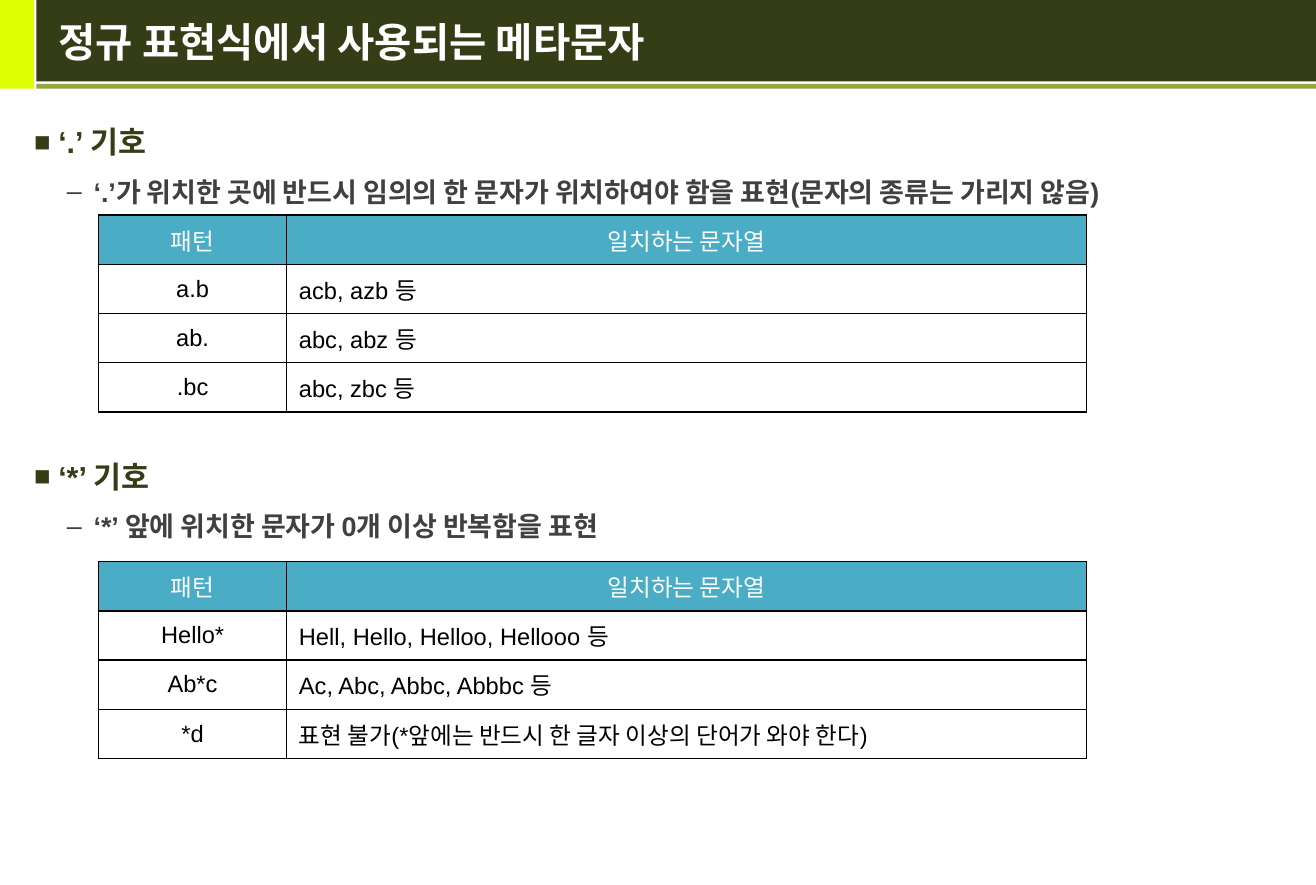
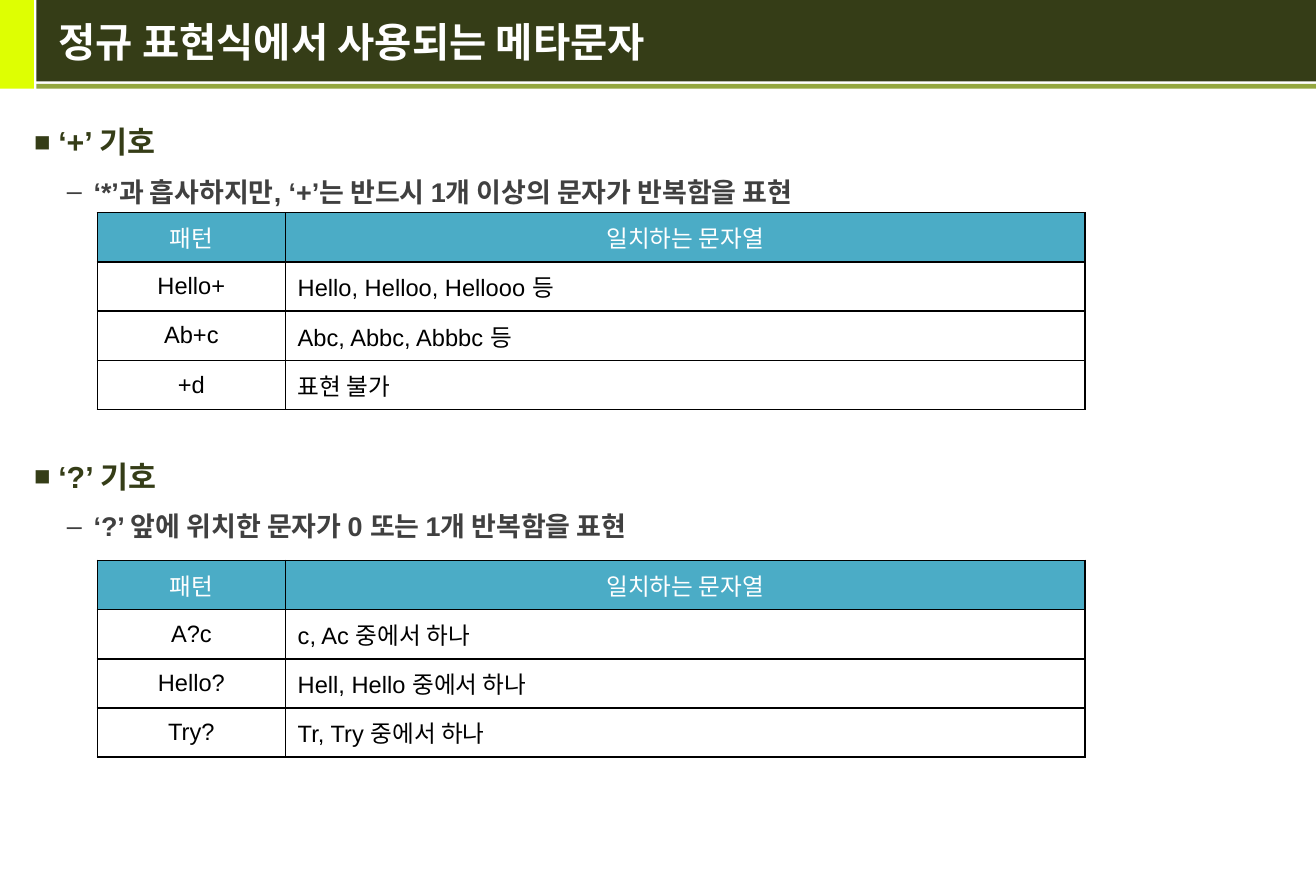
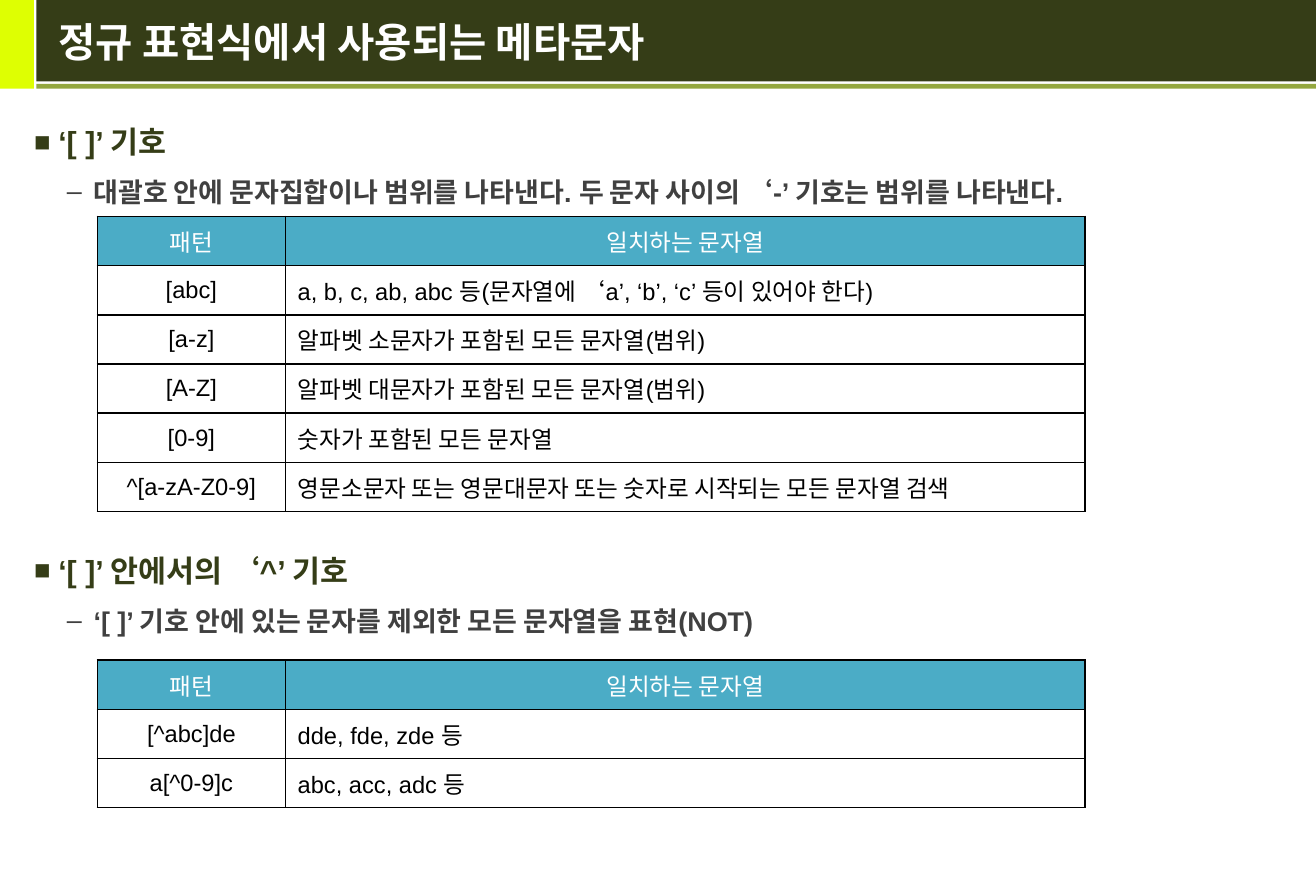
import pptx
import pptx.dml.color
import pptx.enum.shapes
import pptx.enum.text
import pptx.oxml
import pptx.oxml.ns
import pptx.util

# Slide size in inches; all other lengths are percentages of it
WIDTH, HEIGHT = 10.83, 7.28

LIME, OLIVE, MOSS = "DEFF02", "353D17", "93A73F"
GRAY, TEAL, WHITE, BLACK = "404040", "4BACC6", "FFFFFF", "000000"
LATIN, KOREAN = "Arial", "Noto Sans CJK KR"

TITLE = "정규 표현식에서 사용되는 메타문자"
HEADER = ("패턴", "일치하는 문자열")
COLUMNS = (14.31, 60.76)
ROW = 5.56

# Level: size, colour, bullet, bullet size, left margin and hanging indent in
# inches, line height in points
LEVELS = (
    (18, OLIVE, "■", 90, 0.2, 0.2, 27),
    (16, GRAY, "–", 100, 0.49, 0.22, 24),
)

# Slide: table left, then sections of heading, explanation, table top, rows
SLIDES = (
    (7.48, (
        ("‘.’ 기호",
         "‘.’가 위치한 곳에 반드시 임의의 한 문자가 위치하여야 함을 표현(문자의 종류는 가리지 않음)",
         24.31,
         (("a.b", "acb, azb 등"),
          ("ab.", "abc, abz 등"),
          (".bc", "abc, zbc 등"))),
        ("‘*’ 기호",
         "‘*’ 앞에 위치한 문자가 0개 이상 반복함을 표현",
         63.46,
         (("Hello*", "Hell, Hello, Helloo, Hellooo 등"),
          ("Ab*c", "Ac, Abc, Abbc, Abbbc 등"),
          ("*d", "표현 불가(*앞에는 반드시 한 글자 이상의 단어가 와야 한다)"))),
    )),
    (7.39, (
        ("‘+’ 기호",
         "‘*’과 흡사하지만, ‘+’는 반드시 1개 이상의 문자가 반복함을 표현",
         24.04,
         (("Hello+", "Hello, Helloo, Hellooo 등"),
          ("Ab+c", "Abc, Abbc, Abbbc 등"),
          ("+d", "표현 불가"))),
        ("‘?’ 기호",
         "‘?’ 앞에 위치한 문자가 0 또는 1개 반복함을 표현",
         63.32,
         (("A?c", "c, Ac 중에서 하나"),
          ("Hello?", "Hell, Hello 중에서 하나"),
          ("Try?", "Tr, Try 중에서 하나"))),
    )),
    (7.39, (
        ("‘[ ]’ 기호",
         "대괄호 안에 문자집합이나 범위를 나타낸다. 두 문자 사이의 ‘-’ 기호는 범위를 나타낸다.",
         24.45,
         (("[abc]", "a, b, c, ab, abc 등(문자열에 ‘a’, ‘b’, ‘c’ 등이 있어야 한다)"),
          ("[a-z]", "알파벳 소문자가 포함된 모든 문자열(범위)"),
          ("[A-Z]", "알파벳 대문자가 포함된 모든 문자열(범위)"),
          ("[0-9]", "숫자가 포함된 모든 문자열"),
          ("^[a-zA-Z0-9]", "영문소문자 또는 영문대문자 또는 숫자로 시작되는 모든 문자열 검색"))),
        ("‘[ ]’ 안에서의 ‘^’ 기호",
         "‘[ ]’ 기호 안에 있는 문자를 제외한 모든 문자열을 표현(NOT)",
         74.59,
         (("[^abc]de", "dde, fde, zde 등"),
          ("a[^0-9]c", "abc, acc, adc 등"))),
    )),
)


def across(share):
    return pptx.util.Inches(WIDTH * share / 100)


def down(share):
    return pptx.util.Inches(HEIGHT * share / 100)


def color(value):
    return pptx.dml.color.RGBColor.from_string(value)


def element(markup):
    tag, rest = markup[1:].split(" ", 1)
    return pptx.oxml.parse_xml(f"<{tag} {pptx.oxml.ns.nsdecls('a')} {rest}")


def place(box, left, top, width, height):
    box.left, box.top = across(left), down(top)
    box.width, box.height = across(width), down(height)


def add_run(para, text, size, tint, bold=False, font=LATIN):
    span = para.add_run()
    span.text = text
    span.font.size = pptx.util.Pt(size)
    span.font.bold = bold
    span.font.color.rgb = color(tint)
    span.font.name = font
    latin = span.font._element.find(pptx.oxml.ns.qn("a:latin"))
    latin.addnext(element(f'<a:ea typeface="{KOREAN}"/>'))


def set_up_layout(layout):
    """Move the title and body placeholders and drop the footers."""
    for holder in list(layout.placeholders):
        index = holder.placeholder_format.idx
        if index == 0:
            place(holder, 3.51, 0, 95.29, 9.34)
        elif index == 1:
            place(holder, 1.66, 12.23, 95.57, 85.44)
        else:
            holder.element.getparent().remove(holder.element)


def add_bands(page, layout):
    """Draw the title bands and hand them to the layout, behind its text."""
    bands = ((0, 0, 2.59, 10.03, LIME),
             (2.77, 0, 97.23, 9.2, OLIVE),
             (2.77, 9.48, 97.23, 0.55, MOSS))
    front = layout.placeholders[0].element
    for left, top, width, height, tint in bands:
        band = page.shapes.add_shape(
            pptx.enum.shapes.MSO_SHAPE.RECTANGLE,
            across(left), down(top), across(width), down(height))
        band.shadow.inherit = False
        band.fill.solid()
        band.fill.fore_color.rgb = color(tint)
        band.line.fill.background()
        front.addprevious(band.element)


def fill_title(page):
    frame = page.shapes.title.text_frame
    frame.auto_size = pptx.enum.text.MSO_AUTO_SIZE.NONE
    frame.vertical_anchor = pptx.enum.text.MSO_ANCHOR.MIDDLE
    para = frame.paragraphs[0]
    para.alignment = pptx.enum.text.PP_ALIGN.LEFT
    add_run(para, TITLE, 24, WHITE, True, KOREAN)


def write_item(para, text, level, before):
    size, tint, bullet, scale, margin, hang, line = LEVELS[level]
    para.level = level
    properties = para._p.get_or_add_pPr()
    properties.set("marL", str(pptx.util.Inches(margin)))
    properties.set("indent", str(-pptx.util.Inches(hang)))
    for markup in (f'<a:buClr ><a:srgbClr val="{tint}"/></a:buClr>',
                   f'<a:buSzPct val="{scale * 1000}"/>',
                   f'<a:buFont typeface="{LATIN}"/>',
                   f'<a:buChar char="{bullet}"/>'):
        properties.append(element(markup))
    para.line_spacing = pptx.util.Pt(line)
    para.space_before = pptx.util.Pt(before)
    add_run(para, text, size, tint, True)


def fill_body(page, sections):
    frame = page.placeholders[1].text_frame
    frame.auto_size = pptx.enum.text.MSO_AUTO_SIZE.NONE
    para, gap = frame.paragraphs[0], 0
    for heading, explanation, _, rows in sections:
        if gap:
            para = frame.add_paragraph()
        write_item(para, heading, 0, gap)
        write_item(frame.add_paragraph(), explanation, 1, 4.4)
        # The next heading clears the table, header row included
        gap = 31 + 27.9 * (len(rows) + 1)


def format_cell(cell, text, fill, tint, centred):
    cell.fill.solid()
    cell.fill.fore_color.rgb = color(fill)
    cell.vertical_anchor = pptx.enum.text.MSO_ANCHOR.MIDDLE
    properties = cell._tc.get_or_add_tcPr()
    for index, side in enumerate("LRTB"):
        properties.insert(index, element(
            f'<a:ln{side} w="12700"><a:solidFill><a:srgbClr val="{BLACK}"/>'
            f'</a:solidFill></a:ln{side}>'))
    para = cell.text_frame.paragraphs[0]
    align = pptx.enum.text.PP_ALIGN
    para.alignment = align.CENTER if centred else align.LEFT
    add_run(para, text, 14, tint)


def add_pattern_table(page, left, top, rows):
    lines = (HEADER, *rows)
    table = page.shapes.add_table(
        len(lines), len(COLUMNS), across(left), down(top),
        across(sum(COLUMNS)), down(ROW * len(lines))).table
    table.horz_banding = False
    for column, share in zip(table.columns, COLUMNS):
        column.width = across(share)
    for row, line in enumerate(lines):
        table.rows[row].height = down(ROW)
        fill, tint = (WHITE, BLACK) if row else (TEAL, WHITE)
        for column, text in enumerate(line):
            centred = row == 0 or column == 0
            format_cell(table.cell(row, column), text, fill, tint, centred)


def main():
    deck = pptx.Presentation()
    deck.slide_width, deck.slide_height = across(100), down(100)
    layout = deck.slide_layouts[1]
    set_up_layout(layout)
    for number, (left, sections) in enumerate(SLIDES):
        page = deck.slides.add_slide(layout)
        if number == 0:
            add_bands(page, layout)
        fill_title(page)
        fill_body(page, sections)
        for _, _, top, rows in sections:
            add_pattern_table(page, left, top, rows)
    deck.save("out.pptx")


if __name__ == "__main__":
    main()
